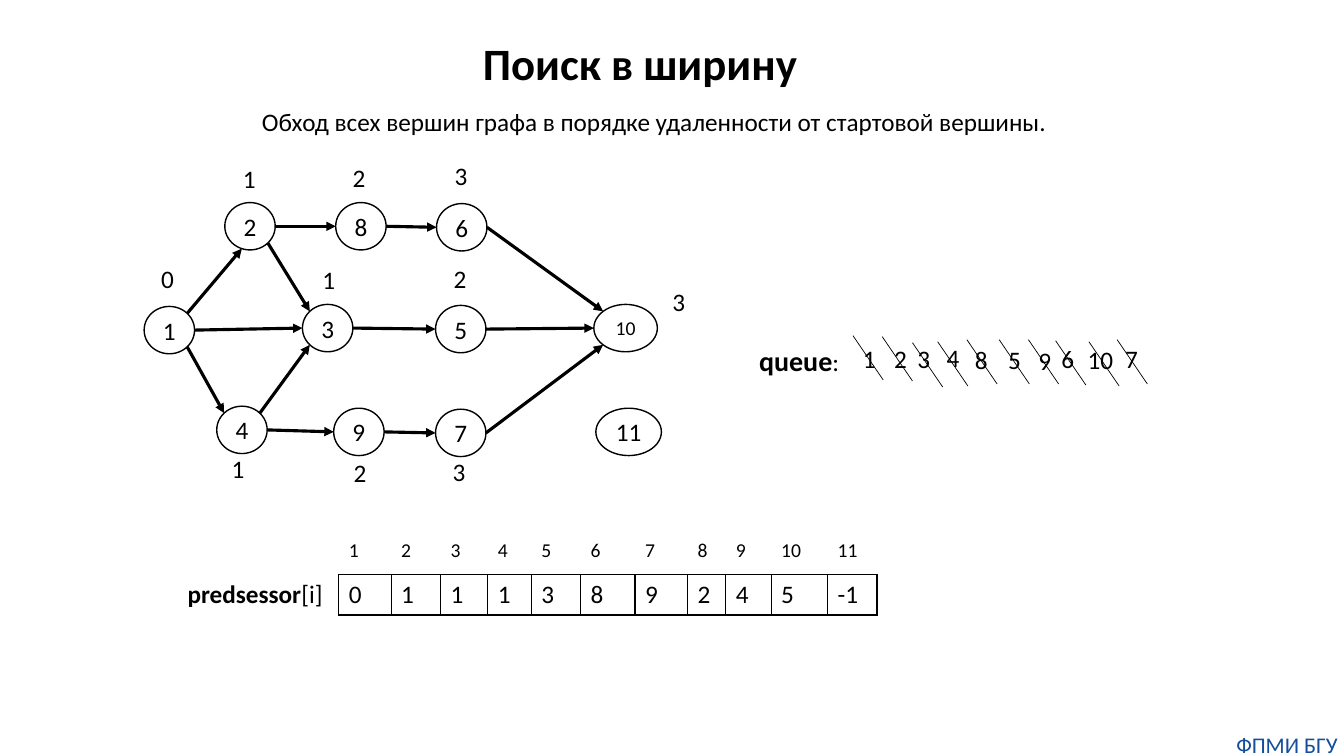
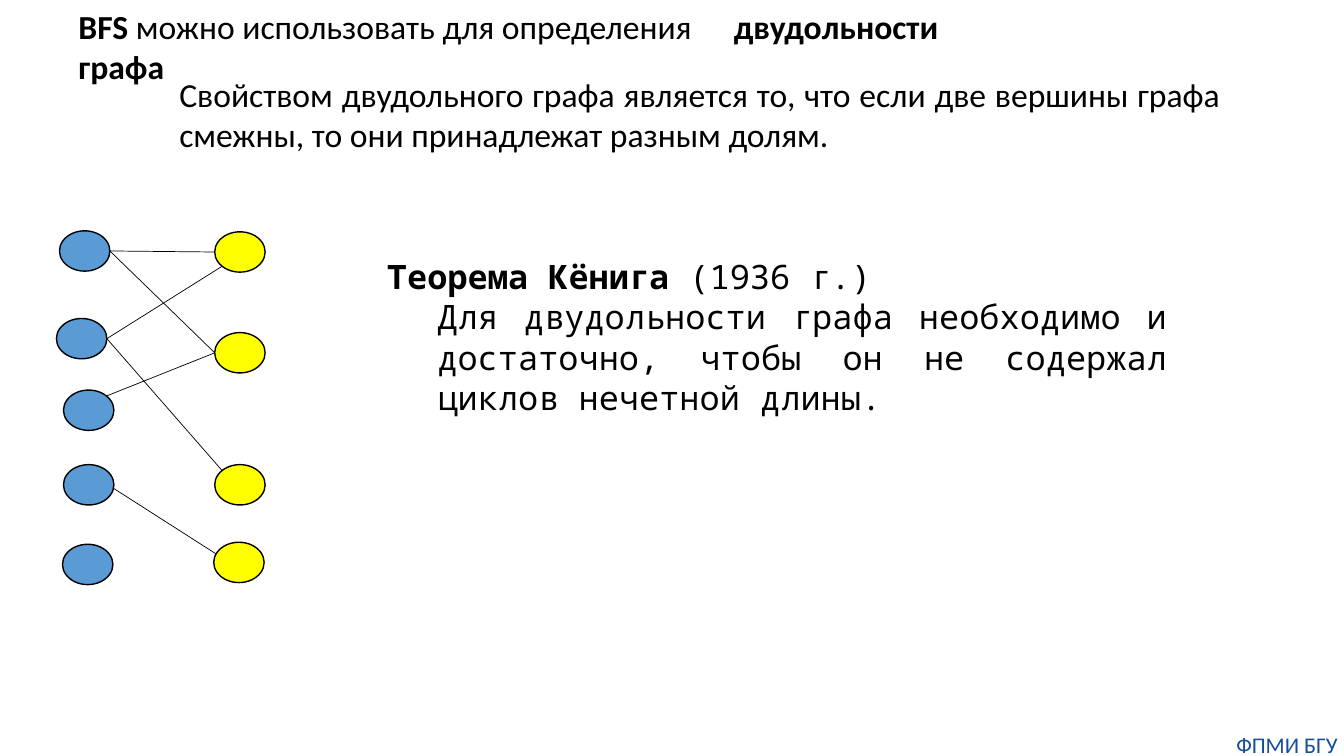
import dataclasses
import math
from typing import Any, Dict, List, Optional, Sequence, Tuple

import lxml.etree
import pptx
import pptx.dml.color
import pptx.enum.shapes
import pptx.enum.text
import pptx.oxml.ns
import pptx.util

Inches = pptx.util.Inches
Pt = pptx.util.Pt
Align = pptx.enum.text.PP_ALIGN
Anchor = pptx.enum.text.MSO_ANCHOR
Shapes = pptx.enum.shapes.MSO_SHAPE

BLACK, WHITE, BLUE, YELLOW, NAVY = "000000", "FFFFFF", "5B9BD5", "FFFF00", "144E9D"
BODY_FONT, THEOREM_FONT = "Calibri", "Noto Sans Mono"
E, SE, S, SW, W, NW, NE = 0, 45, 109, 135, 180, 225, 315
NO_MARGINS = dict.fromkeys(("margin_left", "margin_right", "margin_top", "margin_bottom"), 0)


@dataclasses.dataclass
class Run:
    text: str
    size: float = 18
    bold: bool = False
    font: str = BODY_FONT
    color: str = BLACK


@dataclasses.dataclass
class Paragraph:
    runs: Sequence[Run]
    align: Any = Align.LEFT
    indent: float = 0
    spacing: Optional[float] = None
    tabs: Tuple[float, ...] = ()


@dataclasses.dataclass
class Vertex:
    left: float
    top: float
    width: float = 0.5
    height: float = 0.47
    fill: str = WHITE
    label: str = ""
    size: float = 18

    def point(self, angle: float) -> Tuple[float, float]:
        turn = math.radians(angle)
        return (self.left + self.width / 2 * (1 + math.cos(turn)),
                self.top + self.height / 2 * (1 + math.sin(turn)))


@dataclasses.dataclass
class Edge:
    source: str
    leave: float
    target: str
    enter: float


@dataclasses.dataclass
class Distance:
    text: str
    left: float
    top: float


@dataclasses.dataclass
class QueueItem:
    text: str
    left: float
    top: float
    strike_left: float
    strike_top: float
    width: float = 0.33


def rgb(value: str) -> pptx.dml.color.RGBColor:
    return pptx.dml.color.RGBColor.from_string(value)


def apply_format(target: Any, values: Dict[str, Any]) -> None:
    for name, value in values.items():
        setattr(target, name, value)


def add_xml(parent: Any, tag: str, **attributes: str) -> Any:
    return lxml.etree.SubElement(parent, pptx.oxml.ns.qn(tag), attributes)


def write_paragraphs(frame: Any, paragraphs: Sequence[Paragraph]) -> None:
    for index, content in enumerate(paragraphs):
        paragraph = frame.add_paragraph() if index else frame.paragraphs[0]
        apply_format(paragraph, {"alignment": content.align, "line_spacing": content.spacing})
        properties = paragraph._p.get_or_add_pPr()
        properties.set("marL", str(Inches(content.indent)))
        properties.set("indent", "0")
        if content.tabs:
            stops = add_xml(properties, "a:tabLst")
            for position in content.tabs:
                add_xml(stops, "a:tab", pos=str(Inches(position)), algn="l")
        for piece in content.runs:
            run = paragraph.add_run()
            run.text = piece.text
            apply_format(run.font, {"size": Pt(piece.size), "bold": piece.bold, "name": piece.font})
            run.font.color.rgb = rgb(piece.color)


def add_text(slide: Any, box: Tuple[float, float, float, float],
             paragraphs: Sequence[Paragraph], **frame_format: Any) -> None:
    frame = slide.shapes.add_textbox(*map(Inches, box)).text_frame
    apply_format(frame, {"word_wrap": True, **frame_format})
    write_paragraphs(frame, paragraphs)


def add_footer(slide: Any) -> None:
    add_text(slide, (12.2, 7.25, 1.13, 0.27),
             [Paragraph([Run("ФПМИ БГУ", 16, color=NAVY)], Align.CENTER)], **NO_MARGINS)


def add_filled(slide: Any, kind: Any, box: Tuple[float, float, float, float],
               fill: str, outline: str, weight: float) -> Any:
    shape = slide.shapes.add_shape(kind, *map(Inches, box))
    shape.shadow.inherit = False
    shape.fill.solid()
    shape.fill.fore_color.rgb = rgb(fill)
    shape.line.color.rgb = rgb(outline)
    shape.line.width = Pt(weight)
    return shape


def add_line(slide: Any, start: Tuple[float, float], end: Tuple[float, float],
             weight: float, arrow: bool = False) -> None:
    line = slide.shapes.add_connector(
        pptx.enum.shapes.MSO_CONNECTOR.STRAIGHT, *map(Inches, start + end))
    line.line.color.rgb = rgb(BLACK)
    line.line.width = Pt(weight)
    if arrow:
        add_xml(line.line._get_or_add_ln(), "a:tailEnd", type="triangle")
    add_xml(line._element.spPr, "a:effectLst")


def add_graph(slide: Any, vertices: Dict[str, Vertex], edges: Sequence[Edge],
              weight: float, arrows: bool) -> None:
    for vertex in vertices.values():
        box = (vertex.left, vertex.top, vertex.width, vertex.height)
        oval = add_filled(slide, Shapes.OVAL, box, vertex.fill, BLACK, 1)
        if vertex.label:
            apply_format(oval.text_frame, {"vertical_anchor": Anchor.MIDDLE, "word_wrap": True})
            write_paragraphs(oval.text_frame,
                             [Paragraph([Run(vertex.label, vertex.size)], Align.CENTER)])
    for edge in edges:
        add_line(slide, vertices[edge.source].point(edge.leave),
                 vertices[edge.target].point(edge.enter), weight, arrows)


def add_distance(slide: Any, distance: Distance) -> None:
    label = add_filled(slide, Shapes.RECTANGLE, (distance.left, distance.top, 0.33, 0.4),
                       WHITE, WHITE, 0.75)
    apply_format(label.text_frame, {"word_wrap": False, "vertical_anchor": Anchor.TOP})
    write_paragraphs(label.text_frame, [Paragraph([Run(distance.text)])])


def fill_cell(cell: Any, runs: Sequence[Run], borders: Dict[str, str]) -> None:
    properties = cell._tc.get_or_add_tcPr()
    for side in "LRTB":
        border = add_xml(properties, "a:ln" + side, w=str(Pt(1)))
        add_xml(add_xml(border, "a:solidFill"), "a:srgbClr", val=borders.get(side, WHITE))
    cell.fill.solid()
    cell.fill.fore_color.rgb = rgb(WHITE)
    write_paragraphs(cell.text_frame, [Paragraph(runs)])


def add_predecessors(slide: Any, parents: Sequence[int]) -> None:
    widths = [2.16, 0.52, 0.49, 0.47, 0.43, 0.49, 0.54, 0.52, 0.38, 0.45, 0.56, 0.49]
    table = slide.shapes.add_table(2, len(widths), Inches(1.2), Inches(5.3),
                                   Inches(sum(widths)), Inches(0.8)).table
    apply_format(table, {"first_row": False, "horz_banding": False})
    for column, width in zip(table.columns, widths):
        column.width = Inches(width)
    for row in table.rows:
        row.height = Inches(0.4)
    fill_cell(table.cell(0, 0), [], {})
    caption = table.cell(1, 0)
    fill_cell(caption, [Run("predsessor", bold=True), Run("[i]")], {"R": BLACK})
    apply_format(caption, {"margin_left": Inches(0.66), "margin_right": 0})
    for number, parent in enumerate(parents, 1):
        fill_cell(table.cell(0, number), [Run(str(number), 14)], {"B": BLACK})
        fill_cell(table.cell(1, number), [Run(str(parent))], dict.fromkeys("LRTB", BLACK))


def build_search(slide: Any) -> None:
    distances = [
        Distance("1", 2.31, 1.57), Distance("1", 3.1, 2.57), Distance("1", 2.2, 4.45),
        Distance("0", 1.5, 2.56), Distance("2", 3.4, 1.56), Distance("2", 4.4, 2.56),
        Distance("2", 3.41, 4.49), Distance("3", 4.39, 4.48), Distance("3", 4.41, 1.54),
        Distance("3", 6.57, 2.79),
    ]
    places = {"1": (1.43, 3.04), "2": (2.23, 2.01), "3": (3, 3.02), "4": (2.15, 4.03),
              "5": (4.32, 3.03), "6": (4.33, 2.02), "7": (4.32, 4.06), "8": (3.33, 2.01),
              "9": (3.31, 4.05)}
    vertices = {name: Vertex(*place, label=name) for name, place in places.items()}
    vertices["10"] = Vertex(5.89, 3.02, 0.63, label="10", size=14)
    vertices["11"] = Vertex(5.91, 4.05, 0.65, label="11")
    edges = [
        Edge("1", E, "3", W), Edge("5", E, "10", W), Edge("3", E, "5", W),
        Edge("1", SE, "4", NW), Edge("1", NE, "2", S), Edge("7", E, "10", SW),
        Edge("6", E, "10", NW), Edge("2", E, "8", W), Edge("8", E, "6", W),
        Edge("4", E, "9", W), Edge("9", E, "7", W), Edge("2", SE, "3", NW),
        Edge("4", NE, "3", SW),
    ]
    queue = [
        QueueItem("1", 8.46, 3.36, 8.46, 3.33), QueueItem("2", 8.77, 3.36, 8.75, 3.34),
        QueueItem("3", 9, 3.36, 9.05, 3.4), QueueItem("4", 9.29, 3.35, 9.3, 3.39),
        QueueItem("8", 9.57, 3.37, 9.59, 3.37), QueueItem("5", 9.9, 3.37, 9.91, 3.37),
        QueueItem("9", 10.2, 3.38, 10.2, 3.37), QueueItem("6", 10.43, 3.36, 10.47, 3.38),
        QueueItem("10", 10.69, 3.37, 10.8, 3.39, 0.54),
        QueueItem("7", 11.06, 3.36, 11.08, 3.37, 0.54),
    ]
    add_text(slide, (3.33, 0.35, 6.04, 0.61),
             [Paragraph([Run("Поиск в ширину", 32, True)], Align.CENTER, spacing=0.9)],
             vertical_anchor=Anchor.MIDDLE)
    add_text(slide, (2.5, 1.01, 9.6, 0.4), [Paragraph([Run(
        "Обход всех вершин графа в порядке удаленности от стартовой вершины.")])])
    for distance in distances:
        add_distance(slide, distance)
    add_graph(slide, vertices, edges, 2.25, True)
    add_predecessors(slide, [0, 1, 1, 1, 3, 8, 9, 2, 4, 5, -1])
    add_text(slide, (7.43, 3.36, 1.1, 0.44), [Paragraph([Run("queue", 20, True), Run(":")])])
    for item in queue:
        add_text(slide, (item.left, item.top, item.width, 0.4), [Paragraph([Run(item.text)])])
        add_line(slide, (item.strike_left, item.strike_top),
                 (item.strike_left + 0.3, item.strike_top + 0.44), 0.5)


def build_bipartite(slide: Any) -> None:
    parts: List[Tuple[str, str, List[Tuple[float, float]]]] = [
        ("L", BLUE, [(0.59, 2.29), (0.56, 3.16), (0.63, 3.87), (0.63, 4.61), (0.62, 5.4)]),
        ("R", YELLOW, [(2.13, 2.3), (2.13, 3.3), (2.13, 4.61), (2.12, 5.38)]),
    ]
    vertices = {f"{side}{number}": Vertex(*place, height=0.4, fill=fill)
                for side, fill, places in parts for number, place in enumerate(places, 1)}
    edges = [
        Edge("L1", E, "R1", W), Edge("L1", E, "R2", W), Edge("L2", E, "R1", SW),
        Edge("L2", E, "R3", NW), Edge("L3", NE, "R2", W), Edge("L4", 10, "R4", 205),
    ]
    add_text(slide, (0.68, 0.01, 9.62, 0.5), [Paragraph(
        [Run("BFS ", 24, True), Run("можно использовать для определения\t", 24),
         Run("двудольности\tграфа", 24, True)], tabs=(6.3, 8.49))])
    add_text(slide, (0.68, 0.68, 11.52, 0.91), [Paragraph([Run(
        "Свойством двудольного графа является то, что если две вершины графа смежны, "
        "то они принадлежат разным долям.", 24)], Align.JUSTIFY, indent=1)])
    add_graph(slide, vertices, edges, 0.5, False)
    add_text(slide, (3.74, 2.49, 7.93, 1.72), [
        Paragraph([Run("Теорема Кёнига", 24, True, THEOREM_FONT),
                   Run(" (1936 г.)", 24, font=THEOREM_FONT)], Align.JUSTIFY),
        Paragraph([Run("Для двудольности графа необходимо и достаточно, чтобы он не "
                       "содержал циклов нечетной длины.", 24, font=THEOREM_FONT)],
                  Align.JUSTIFY, indent=0.5),
    ])


def main() -> None:
    deck = pptx.Presentation()
    apply_format(deck, {"slide_width": Inches(13.33), "slide_height": Inches(7.5)})
    for build in (build_search, build_bipartite):
        slide = deck.slides.add_slide(deck.slide_layouts[6])
        build(slide)
        add_footer(slide)
    deck.save("out.pptx")


if __name__ == "__main__":
    main()
